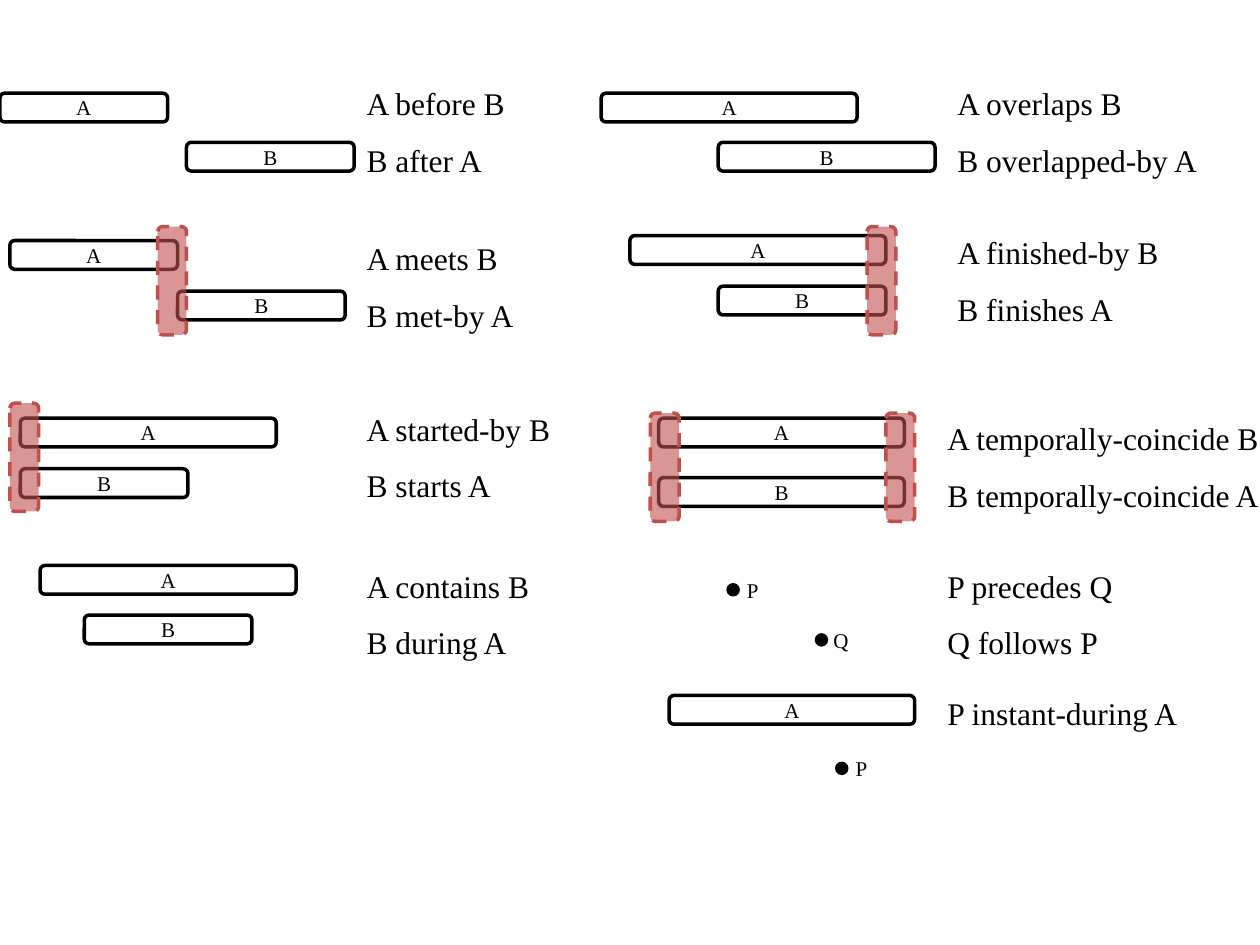
from lxml import etree
from pptx import Presentation
from pptx.dml.color import RGBColor
from pptx.enum.dml import MSO_LINE_DASH_STYLE as DASH
from pptx.enum.shapes import MSO_SHAPE as SHAPE
from pptx.enum.text import MSO_AUTO_SIZE as FIT, PP_ALIGN as ALIGN
from pptx.oxml.ns import qn
from pptx.util import Cm, Pt

FONT = "Times New Roman"
BLACK, WHITE, RED = "000000", "FFFFFF", "C0504D"
BAR_H, DOT = 0.58, 0.2
MARK_W, MARK_H = 0.58, 2.18
LABEL_W, LABEL_H = 0.99, 0.76
SHORT, LONG, EQUAL = 3.38, 5.16, 4.95

# Each relation: bars (name, x, y, width), marks (x, y), dots (name, x, y),
# caption (x, y, width, lines); all in centimetres
RELATIONS = [
    # Left column
    dict(bars=[("A", 0, 1.88, SHORT), ("B", 3.76, 2.87, SHORT)],
         caption=(7.14, 1.19, 4.57, ["A before B", "B after A"])),
    dict(bars=[("A", 0.2, 4.85, SHORT), ("B", 3.58, 5.87, SHORT)],
         marks=[(3.18, 4.57)],
         caption=(7.14, 4.32, 4.57, ["A meets B", "B met-by A"])),
    dict(bars=[("A", 0.41, 8.43, LONG), ("B", 0.41, 9.45, SHORT)],
         marks=[(0.2, 8.13)],
         caption=(7.14, 7.75, 4.57, ["A started-by B", "B starts A"])),
    dict(bars=[("A", 0.81, 11.4, LONG), ("B", 1.7, 12.4, SHORT)],
         caption=(7.14, 10.92, 4.57, ["A contains B", "B during A"])),
    # Right column
    dict(bars=[("A", 12.12, 1.88, LONG), ("B", 14.48, 2.87, 4.37)],
         caption=(19.05, 1.19, 5.36, ["A overlaps B", "B overlapped-by A"])),
    dict(bars=[("A", 12.7, 4.75, LONG), ("B", 14.48, 5.77, SHORT)],
         marks=[(17.48, 4.57)],
         caption=(19.05, 4.19, 5.36, ["A finished-by B", "B finishes A"])),
    dict(bars=[("A", 13.28, 8.43, EQUAL), ("B", 13.28, 9.63, EQUAL)],
         marks=[(13.11, 8.33), (17.86, 8.33)],
         caption=(18.85, 7.95, 7.14,
                  ["A temporally-coincide B", "B temporally-coincide A"])),
    dict(dots=[("P", 14.68, 11.79), ("Q", 16.46, 12.8)],
         caption=(18.85, 10.92, 7.14, ["P precedes Q", "Q follows P"])),
    dict(bars=[("A", 13.49, 14.02, EQUAL)], dots=[("P", 16.87, 15.39)],
         caption=(18.85, 13.49, 7.14, ["P instant-during A"])),
]


def rgb(value):
    return RGBColor.from_string(value)


def add_box(shapes, kind, x, y, w, h, fill, line):
    sp = shapes.add_shape(kind, Cm(x), Cm(y), Cm(w), Cm(h))
    sp.shadow.inherit = False
    sp.fill.solid()
    sp.fill.fore_color.rgb = rgb(fill)
    sp.line.color.rgb = rgb(line)
    sp.line.width = Pt(2)
    return sp


def add_text(shapes, x, y, w, h, lines, size, align=ALIGN.LEFT, spacing=1.0):
    tf = shapes.add_textbox(Cm(x), Cm(y), Cm(w), Cm(h)).text_frame
    tf.word_wrap = True
    tf.auto_size = FIT.SHAPE_TO_FIT_TEXT
    for i, line in enumerate(lines):
        p = tf.add_paragraph() if i else tf.paragraphs[0]
        p.alignment = align
        p.line_spacing = spacing
        r = p.add_run()
        r.text = line
        r.font.name = FONT
        r.font.size = Pt(size)
        r.font.color.rgb = rgb(BLACK)


def add_label(shapes, name, x, y):
    add_text(shapes, x, y, LABEL_W, LABEL_H, [name], 12, ALIGN.CENTER)


def add_bar(shapes, name, x, y, w):
    add_box(shapes, SHAPE.ROUNDED_RECTANGLE, x, y, w, BAR_H, WHITE, BLACK)
    add_label(shapes, name, x + (w - LABEL_W) / 2, y + (BAR_H - LABEL_H) / 2)


def add_mark(shapes, x, y):
    sp = add_box(shapes, SHAPE.ROUNDED_RECTANGLE, x, y, MARK_W, MARK_H, RED, RED)
    sp.line.dash_style = DASH.DASH
    color = sp.fill._xPr.find(qn("a:solidFill"))[0]
    etree.SubElement(color, qn("a:alpha")).set("val", "60000")


def add_dot(shapes, name, x, y):
    add_box(shapes, SHAPE.OVAL, x, y, DOT, DOT, BLACK, BLACK)
    add_label(shapes, name, x, y + (DOT - LABEL_H) / 2)


def add_relation(slide, caption, bars=(), marks=(), dots=()):
    shapes = slide.shapes.add_group_shape().shapes
    for bar in bars:
        add_bar(shapes, *bar)
    for mark in marks:
        add_mark(shapes, *mark)
    for dot in dots:
        add_dot(shapes, *dot)
    x, y, w, lines = caption
    add_text(shapes, x, y, w, 1.28 * len(lines), lines, 18, spacing=1.5)


def main():
    prs = Presentation()
    prs.slide_width, prs.slide_height = Cm(25.4), Cm(19.05)
    slide = prs.slides.add_slide(prs.slide_layouts[6])
    for relation in RELATIONS:
        add_relation(slide, **relation)
    prs.save("out.pptx")


main()
